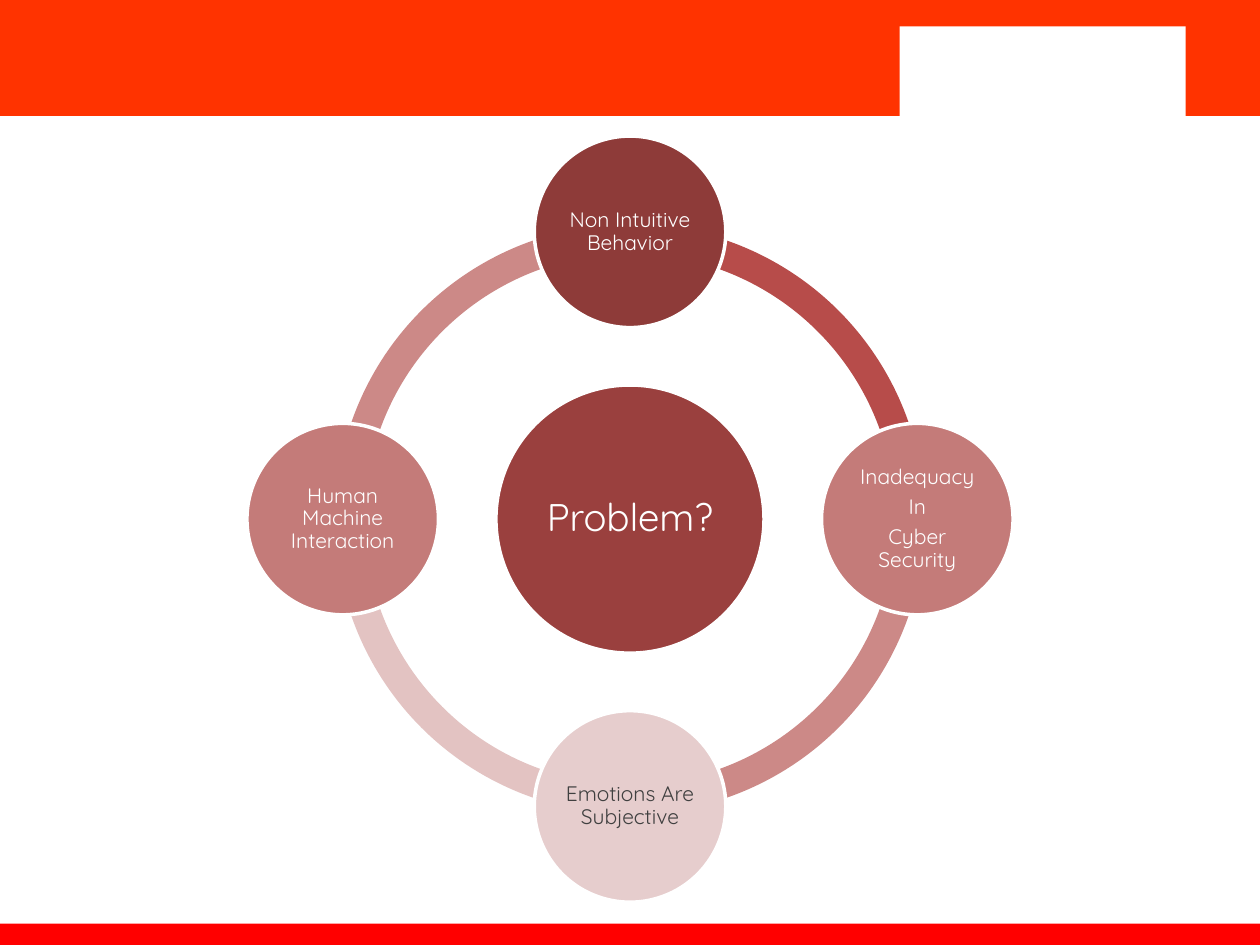
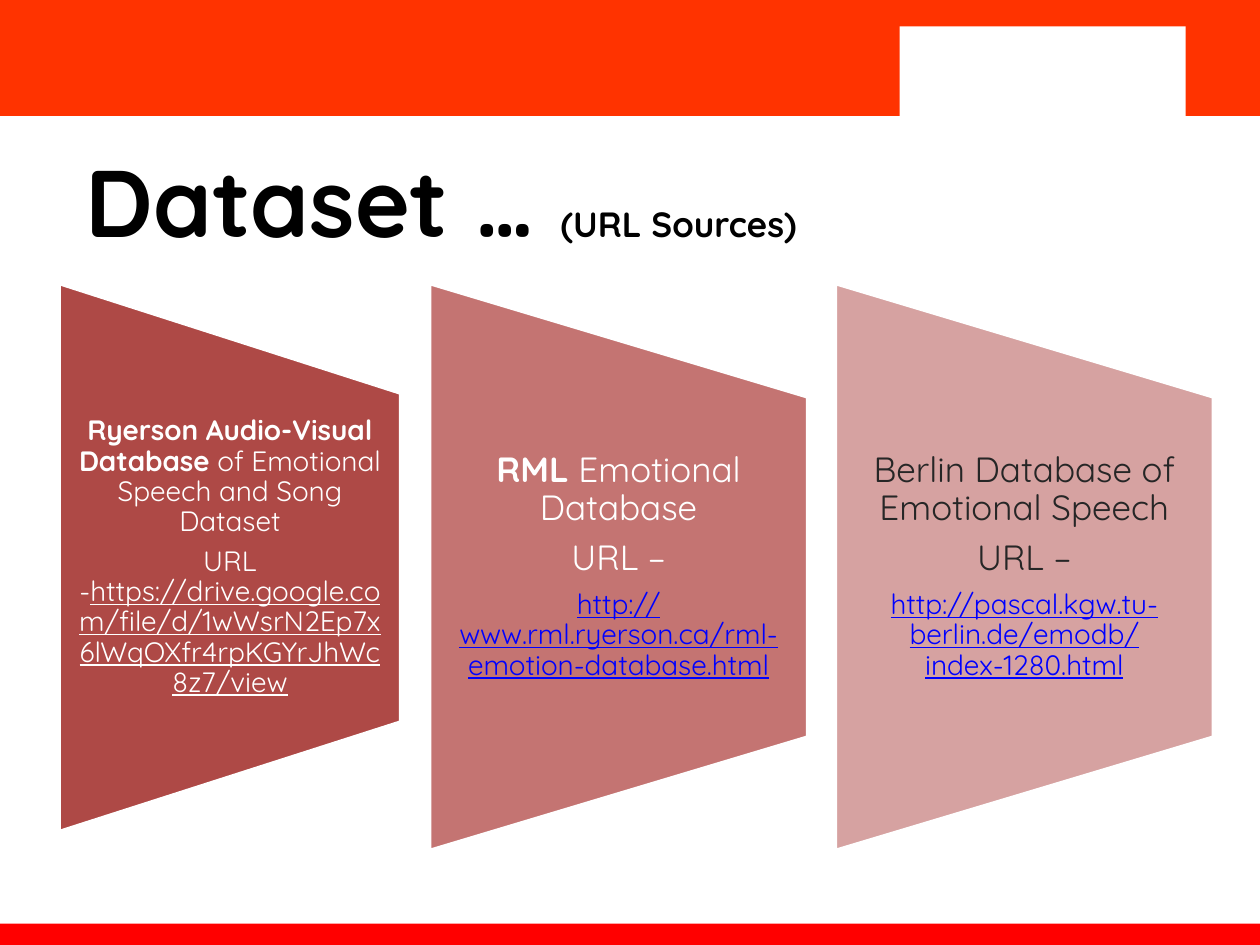
from pptx import Presentation
from pptx.dml.color import RGBColor
from pptx.enum.shapes import MSO_SHAPE
from pptx.enum.text import MSO_ANCHOR, MSO_AUTO_SIZE, PP_ALIGN
from pptx.util import Inches, Pt

RECT = MSO_SHAPE.RECTANGLE
OVAL = MSO_SHAPE.OVAL
ARC = MSO_SHAPE.BLOCK_ARC
TRAP = MSO_SHAPE.FLOWCHART_MANUAL_OPERATION
MIDDLE = MSO_ANCHOR.MIDDLE
NO_FIT = MSO_AUTO_SIZE.NONE
CENTER, LEFT = PP_ALIGN.CENTER, PP_ALIGN.LEFT

COLS, ROWS = 10, 7.5
UNIT = Inches(1)
FONT = "Quicksand"
WHITE, BLACK, DARK, GRAY = "FFFFFF", "000000", "262626", "404040"
ORANGE, RED, BLUE = "FF3300", "FF0000", "0000FF"
TITLE_BOX = (0.58, 0.92, 9.42, 1.33)
WHEEL_BOX = (1.96, 1.08, 6.08, 6.08)

NODES = [
    (["Non Intuitive Behavior"], "8E3B39", WHITE, "B74C4A"),
    (["Inadequacy", "In", "Cyber Security"], "C47B79", WHITE, "CC8987"),
    (["Emotions Are Subjective"], "E6CDCD", GRAY, "E3C3C2"),
    (["Human Machine Interaction"], "C47B79", WHITE, "CC8987"),
]
STEPS = [(0, -1), (1, 0), (0, 1), (-1, 0)]

PANELS = [
    ((0.47, 2.25, 2.71, 4.35), "AE4946", 0.11, [
        [("Ryerson Audio-Visual Database", 16, WHITE, "b"),
         (" of Emotional Speech and Song Dataset", 16, WHITE, "")],
        [("URL -", 16, WHITE, ""),
         ("https://drive.google.com/file/d/1wWsrN2Ep7x6lWqOXfr4rpKGYrJhWc8z7/view",
          16, WHITE, "u")],
    ]),
    ((3.41, 2.25, 3, 4.5), "C47472", 0.14, [
        [("RML", 20, WHITE, "b"), (" Emotional Database", 20, WHITE, "")],
        [("URL –", 20, WHITE, "")],
        [("http://www.rml.ryerson.ca/rml-emotion-database.html", 16, BLUE, "u")],
    ]),
    ((6.63, 2.25, 3, 4.5), "D6A2A1", 0.14, [
        [("Berlin Database of Emotional Speech", 20, DARK, "")],
        [("URL –", 20, DARK, "")],
        [("http://pascal.kgw.tu-berlin.de/emodb/index-1280.html", 16, BLUE, "u")],
    ]),
]


def paint(color):
    return RGBColor.from_string(color)


def span(box):
    return [round(part * UNIT) for part in box]


def square(x, y, side):
    return x - side / 2, y - side / 2, side, side


def draw(slide, kind, box, fill, edge=None):
    shape = slide.shapes.add_shape(kind, *span(box))
    shape.shadow.inherit = False
    shape.fill.solid()
    shape.fill.fore_color.rgb = paint(fill)
    if edge:
        shape.line.color.rgb = paint(edge)
        shape.line.width = Pt(2)
    else:
        shape.line.fill.background()
    return shape


def add_run(para, text, size, color, style=""):
    run = para.add_run()
    run.text = text
    font = run.font
    font.name = FONT
    font.size = Pt(size)
    font.color.rgb = paint(color)
    font.bold = "b" in style
    font.underline = "u" in style


def write(slide, box, lines, side, ends):
    frame = slide.shapes.add_textbox(*span(box)).text_frame
    frame.word_wrap = True
    frame.vertical_anchor = MIDDLE
    frame.margin_left = frame.margin_right = Inches(side)
    frame.margin_top = frame.margin_bottom = Inches(ends)
    for i, runs in enumerate(lines):
        para = frame.add_paragraph() if i else frame.paragraphs[0]
        para.alignment = CENTER
        para.line_spacing = 0.9
        para.space_after = Pt(0.35 * runs[0][1])
        for part in runs:
            add_run(para, *part)


def bands(slide):
    draw(slide, RECT, (0, 0, COLS, 0.92), ORANGE)
    draw(slide, RECT, (7.14, 0.21, 2.27, 0.75), WHITE)
    draw(slide, RECT, (0, 7.33, COLS, ROWS - 7.33), RED)


def head(slide, parts):
    title = slide.shapes.title
    title.left, title.top, title.width, title.height = span(TITLE_BOX)
    frame = title.text_frame
    frame.auto_size = NO_FIT
    frame.word_wrap = True
    frame.vertical_anchor = MIDDLE
    para = frame.paragraphs[0]
    para.alignment = LEFT
    for text, size in parts:
        add_run(para, text, size, BLACK, "b")


def disc(slide, x, y, side, fill, lines, size, color):
    draw(slide, OVAL, square(x, y, side), fill, WHITE)
    rows = [[(line, size, color)] for line in lines]
    write(slide, square(x, y, 0.71 * side), rows, 0.02, 0.02)


def wheel(slide, box):
    left, top, size, _ = box
    x, y = left + size / 2, top + size / 2
    node = 0.25 * size
    reach = (size - node) / 2
    for i, (_, _, _, fill) in enumerate(NODES):
        arc = draw(slide, ARC, square(x, y, 0.77 * size), fill)
        start = (162 + 54 * i) % 216
        arc.adjustments[0] = start
        arc.adjustments[1] = (start + 54) % 216
        arc.adjustments[2] = 0.05
    disc(slide, x, y, 0.35 * size, "9A403E", ["Problem?"], 22, WHITE)
    for (dx, dy), (lines, fill, color, _) in zip(STEPS, NODES):
        disc(slide, x + dx * reach, y + dy * reach, node, fill, lines, 12, color)


def panel(slide, box, fill, side, lines):
    left, top, wide, high = box
    x, y = left + wide / 2, top + high / 2
    shape = draw(slide, TRAP, (x - high / 2, y - wide / 2, high, wide), fill, WHITE)
    shape.rotation = 270
    write(slide, (left, top + 0.2 * high, wide, 0.6 * high), lines, side, 0)


def main():
    deck = Presentation()
    deck.slide_width, deck.slide_height = span((COLS, ROWS))
    blank, titled = deck.slide_layouts[6], deck.slide_layouts[5]

    slide = deck.slides.add_slide(blank)
    bands(slide)
    wheel(slide, WHEEL_BOX)

    slide = deck.slides.add_slide(titled)
    bands(slide)
    for item in PANELS:
        panel(slide, *item)
    head(slide, [("Dataset … ", 54), ("(URL Sources)", 20)])

    deck.save("out.pptx")


if __name__ == "__main__":
    main()
